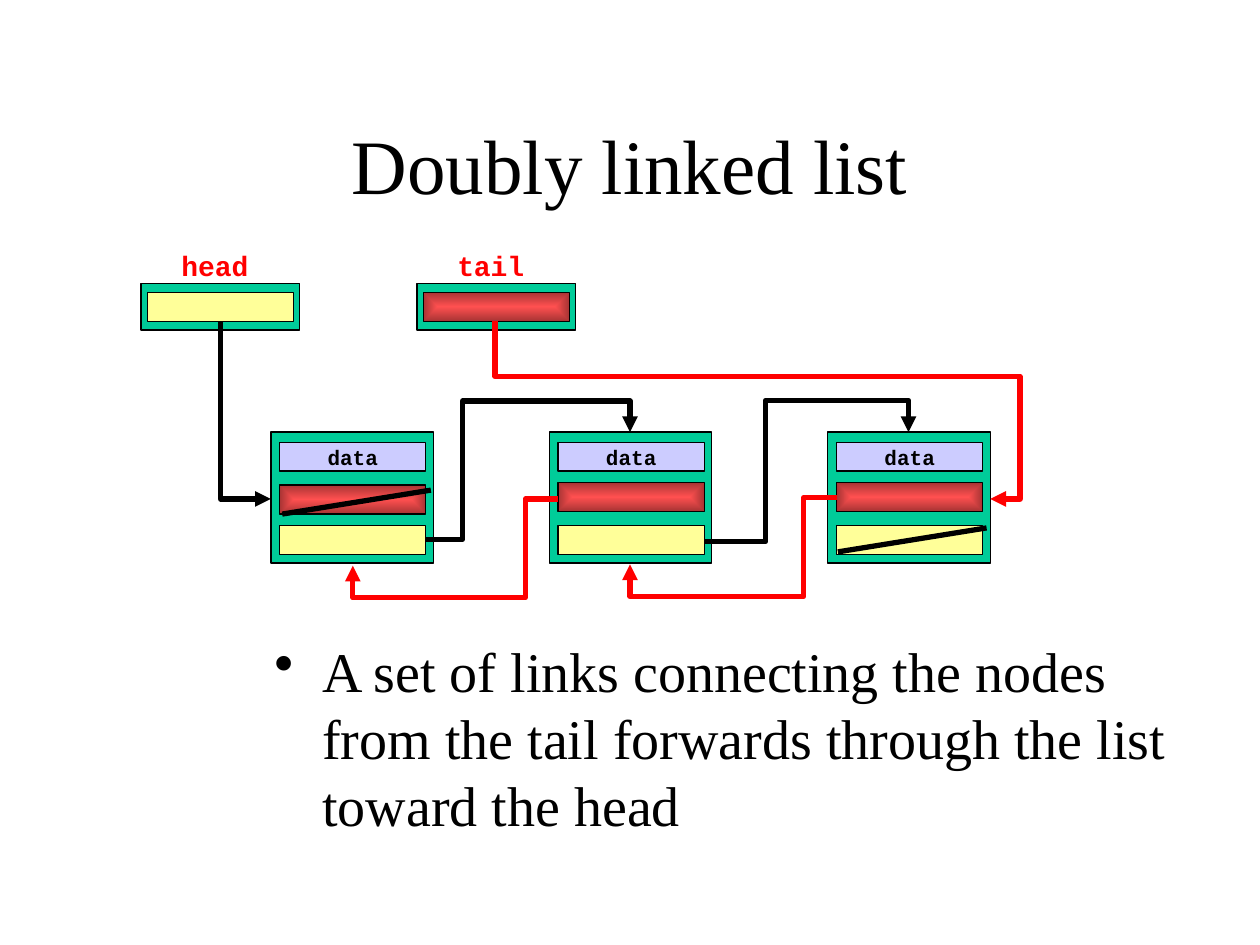
import math
from dataclasses import dataclass

from pptx import Presentation
from pptx import util as u
from pptx.dml.color import RGBColor
from pptx.enum import shapes, text
from pptx.oxml import parse_xml
from pptx.oxml.ns import nsdecls, qn


@dataclass(frozen=True)
class Theme:
    black: str = "000000"
    red: str = "FF0000"
    frame: str = "00CC99"
    next: str = "FFFF99"
    data: str = "CCCCFF"
    prev: tuple = ("FF5050", "A83434")
    serif: str = "Times New Roman"
    mono: str = "Courier New"
    title: int = 44
    body: int = 32
    label: int = 16
    small: int = 12
    thin: float = 0.75
    thick: float = 3


def xml(tag, attrs="", inner=""):
    return parse_xml(f"<a:{tag} {nsdecls('a')} {attrs}>{inner}</a:{tag}>")


class Deck:
    def __init__(self, theme):
        self.look = theme
        self.prs = Presentation()
        self.prs.slide_width = u.Inches(10)
        self.prs.slide_height = u.Inches(7.5)
        self.slide = self.prs.slides.add_slide(self.prs.slide_layouts[6])

    def label(self, shape, words, size, face, color, bold=False,
              align=text.PP_ALIGN.CENTER, anchor=text.MSO_ANCHOR.MIDDLE,
              wrap=True, bullet=False):
        frame = shape.text_frame
        frame.word_wrap, frame.vertical_anchor = wrap, anchor
        para = frame.paragraphs[0]
        para.text, para.alignment = words, align
        if bullet:
            props = para._p.get_or_add_pPr()
            props.set("marL", str(u.Inches(0.38)))
            props.set("indent", str(-u.Inches(0.38)))
            props.append(xml("buChar", 'char="•"'))
        font = para.runs[0].font
        style = {"size": u.Pt(size), "name": face, "bold": bold}
        for key, value in style.items():
            setattr(font, key, value)
        font.color.rgb = RGBColor.from_string(color)

    def note(self, box, words, size, face, color, **style):
        shape = self.slide.shapes.add_textbox(*map(u.Inches, box))
        self.label(shape, words, size, face, color, **style)

    def rect(self, box, fill):
        """Draw an outlined box; a pair of colours gives a gradient from the centre."""
        shape = self.slide.shapes.add_shape(
            shapes.MSO_SHAPE.RECTANGLE, *map(u.Inches, box))
        shape.shadow.inherit = False
        if isinstance(fill, tuple):
            shape.fill.gradient()
            for stop, color in zip(shape.fill.gradient_stops, fill):
                stop.color.rgb = RGBColor.from_string(color)
            grad = shape.element.spPr.find(qn("a:gradFill"))
            center = xml("fillToRect", 'l="50000" t="50000" r="50000" b="50000"')
            shade = xml("path", 'path="rect"')
            shade.append(center)
            grad.replace(grad.find(qn("a:lin")), shade)
        else:
            shape.fill.solid()
            shape.fill.fore_color.rgb = RGBColor.from_string(fill)
        self.stroke(shape.line, self.look.black, self.look.thin)
        return shape

    def stroke(self, line, color, width):
        line.color.rgb = RGBColor.from_string(color)
        line.width = u.Pt(width)

    def line(self, start, end, color, kind=shapes.MSO_CONNECTOR.STRAIGHT):
        wire = self.slide.shapes.add_connector(kind, *map(u.Inches, start + end))
        self.stroke(wire.line, color, self.look.thick)
        wire.element.spPr.append(xml("effectLst"))
        return wire

    def link(self, start, end, color, turn=0, bends=()):
        """Draw an elbow arrow, turned about its centre, with bends as shares of its box."""
        mid = [(a + b) / 2 for a, b in zip(start, end)]
        cos, sin = (round(f(math.radians(turn))) for f in (math.cos, math.sin))

        def local(point):
            dx, dy = point[0] - mid[0], point[1] - mid[1]
            return mid[0] + dx * cos + dy * sin, mid[1] - dx * sin + dy * cos

        wire = self.line(local(start), local(end), color, shapes.MSO_CONNECTOR.ELBOW)
        props = wire.element.spPr
        props.find(qn("a:xfrm")).set("rot", str(turn * 60000))
        guides = "".join(
            f'<a:gd name="adj{i}" fmla="val {round(bend * 100000)}"/>'
            for i, bend in enumerate(bends, 1))
        shape = xml("prstGeom", f'prst="bentConnector{len(bends) + 2}"',
                    f"<a:avLst>{guides}</a:avLst>")
        props.replace(props.find(qn("a:prstGeom")), shape)
        props.find(qn("a:ln")).append(xml("tailEnd", 'type="triangle"'))

    def entry(self, left, name, fill):
        """Draw a named pointer to one end of the list."""
        look = self.look
        self.rect((left, 2.25, 1.26, 0.37), look.frame)
        self.rect((left + 0.05, 2.32, 1.16, 0.23), fill)
        self.note((left - 0.06, 1.92, 1.29, 0.37), name, look.label, look.mono,
                  look.red, bold=True, anchor=text.MSO_ANCHOR.TOP)

    def node(self, left, prev):
        look = self.look
        self.rect((left, 3.43, 1.29, 1.04), look.frame)
        cells = [self.rect((left + 0.07, top, 1.16, 0.23), fill) for top, fill in
                 ((3.51, look.data), (prev, look.prev), (4.17, look.next))]
        self.label(cells[0], "data", look.small, look.mono, look.black,
                   bold=True, wrap=False)


def main():
    look = Theme()
    deck = Deck(look)
    deck.note((0.75, 0.67, 8.5, 1.25), "Doubly linked list",
              look.title, look.serif, look.black)
    deck.note((2.08, 5, 7.52, 2.08),
              "A set of links connecting the nodes from the tail forwards "
              "through the list toward the head",
              look.body, look.serif, look.black, bullet=True,
              align=text.PP_ALIGN.LEFT, anchor=text.MSO_ANCHOR.TOP)

    deck.entry(1.12, "head", look.next)
    deck.entry(3.31, "tail", look.prev)
    for i, prev in enumerate((3.85, 3.83, 3.83)):
        deck.node(2.15 + 2.21 * i, prev)

    for left, top in ((2.24, 3.89), (6.65, 4.19)):
        deck.line((left, top + 0.19), (left + 1.18, top), look.black)

    deck.link((1.75, 2.55), (2.15, 3.96), look.black, 270)
    deck.link((3.38, 4.28), (5, 3.43), look.black, 0, (0.18, 1.29))
    deck.link((5.59, 4.3), (7.21, 3.43), look.black, 0, (0.3, 1.29))
    deck.link((3.93, 2.55), (7.86, 3.96), look.red, 270, (0.31, 1.06))
    deck.link((6.64, 3.95), (5, 4.48), look.red, 180, (0.16, 1.48))
    deck.link((4.43, 3.96), (2.8, 4.49), look.red, 180, (0.16, 1.48))
    deck.prs.save("out.pptx")


if __name__ == "__main__":
    main()
